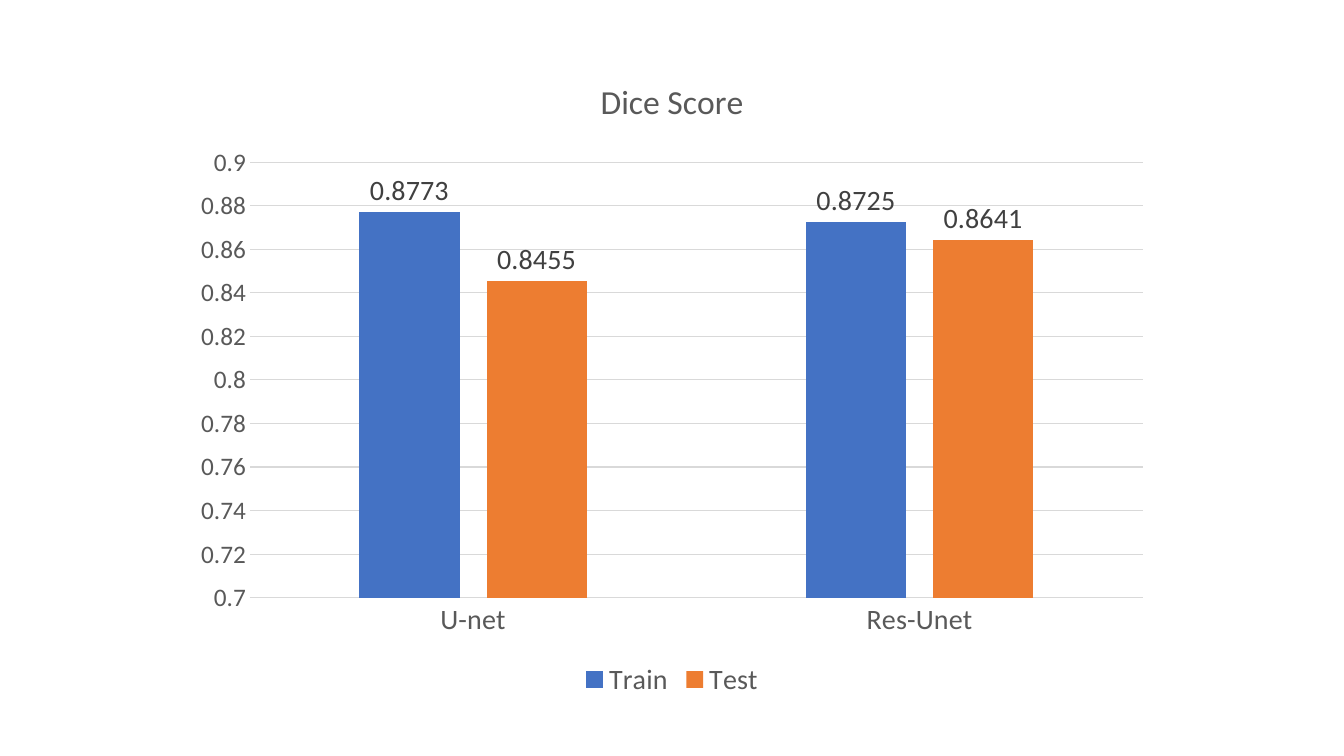
from dataclasses import dataclass

import pptx
import pptx.chart.data
import pptx.dml.color
import pptx.enum.chart as kinds
import pptx.util
from pptx.util import Inches

FACE = "Calibri"
GREY = "595959"
RULE = "D9D9D9"


@dataclass
class Score:
    name: str
    values: tuple[float, ...]
    fill: str


NETS = ("U-net", "Res-Unet")
SCORES = (
    Score("Train", (0.8773, 0.8725), "4472C4"),
    Score("Test", (0.8455, 0.8641), "ED7D31"),
)


def color(code: str) -> pptx.dml.color.RGBColor:
    return pptx.dml.color.RGBColor.from_string(code)


def style(font, size: float, code: str = GREY) -> None:
    font.name = FACE
    font.size = pptx.util.Pt(size)
    font.bold = False
    font.color.rgb = color(code)


def rule(line) -> None:
    line.color.rgb = color(RULE)
    line.width = pptx.util.Pt(0.75)


def add_title(chart, text: str) -> None:
    chart.has_title = True
    run = chart.chart_title.text_frame.paragraphs[0].add_run()
    run.text = text
    style(run.font, 24)
    chart.chart_title.include_in_layout = False


def set_axes(chart) -> None:
    nets, scale = chart.category_axis, chart.value_axis
    for axis, size in ((nets, 20), (scale, 18)):
        axis.major_tick_mark = kinds.XL_TICK_MARK.NONE
        axis.minor_tick_mark = kinds.XL_TICK_MARK.NONE
        style(axis.tick_labels.font, size)
    rule(nets.format.line)
    scale.minimum_scale, scale.maximum_scale = 0.7, 0.9
    scale.major_unit = 0.02
    scale.format.line.fill.background()
    scale.has_major_gridlines = True
    rule(scale.major_gridlines.format.line)


def set_bars(chart) -> None:
    plot = chart.plots[0]
    plot.gap_width, plot.overlap = 219, -27
    plot.vary_by_categories = False
    for bars, score in zip(plot.series, SCORES):
        bars.invert_if_negative = False
        bars.format.fill.solid()
        bars.format.fill.fore_color.rgb = color(score.fill)
        labels = bars.data_labels
        labels.show_value = True
        labels.position = kinds.XL_LABEL_POSITION.OUTSIDE_END
        style(labels.font, 20, "404040")


def add_legend(chart) -> None:
    chart.has_legend = True
    chart.legend.position = kinds.XL_LEGEND_POSITION.BOTTOM
    chart.legend.include_in_layout = False
    style(chart.legend.font, 20)


def main() -> None:
    deck = pptx.Presentation()
    deck.slide_width, deck.slide_height = Inches(13.33), Inches(7.5)
    slide = deck.slides.add_slide(deck.slide_layouts[6])

    # Scores by network
    data = pptx.chart.data.CategoryChartData()
    data.categories = NETS
    for score in SCORES:
        data.add_series(score.name, score.values)

    # Column chart
    frame = slide.shapes.add_chart(
        kinds.XL_CHART_TYPE.COLUMN_CLUSTERED,
        Inches(1.8), Inches(0.54), Inches(9.73), Inches(6.43), data)
    chart = frame.chart
    style(chart.font, 10, "000000")
    add_title(chart, "Dice Score")
    set_axes(chart)
    set_bars(chart)
    add_legend(chart)

    deck.save("out.pptx")


if __name__ == "__main__":
    main()
